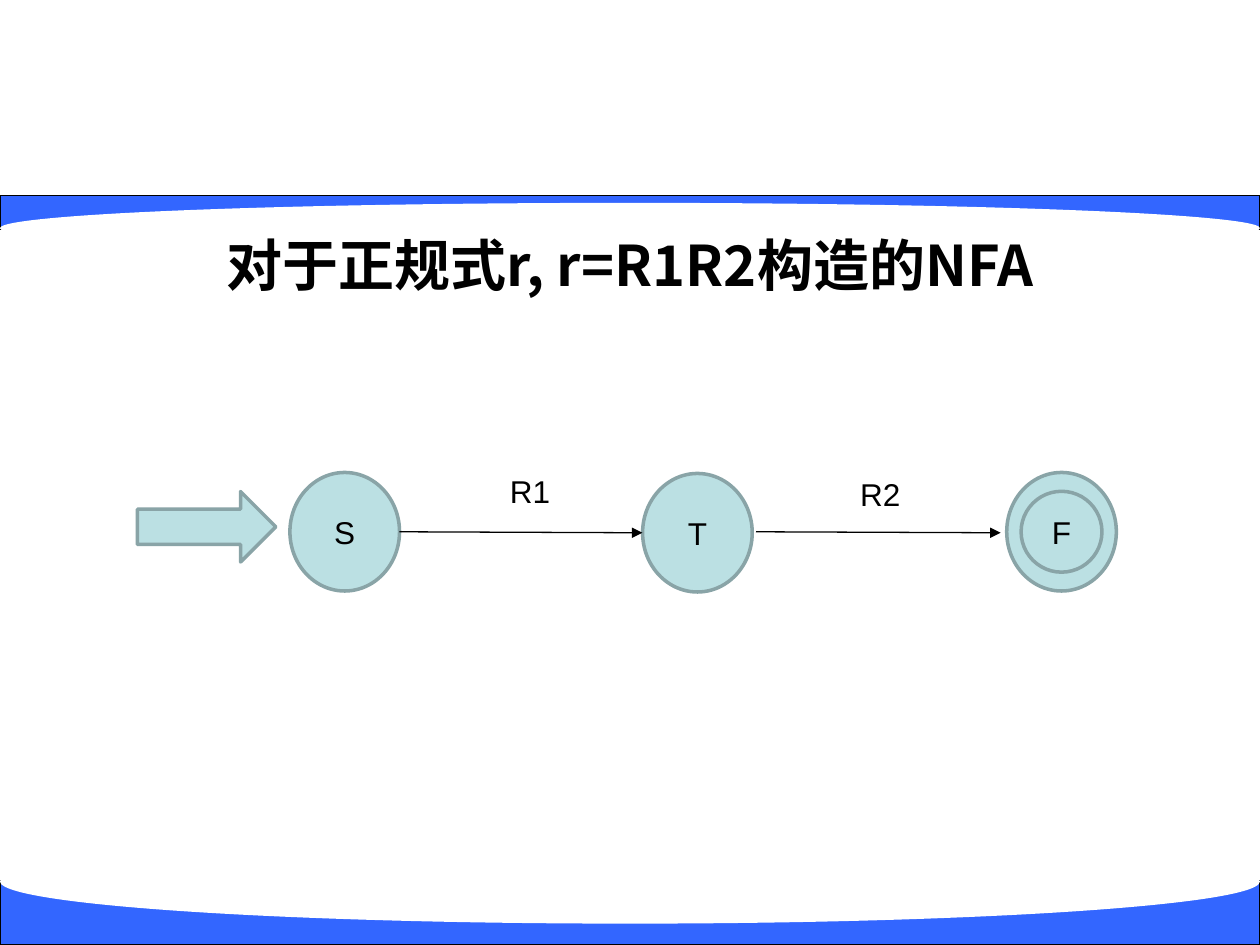
"""Build a slide showing the NFA for a concatenation of two regular expressions."""
import pptx
import pptx.dml.color
import pptx.enum.shapes
import pptx.enum.text
import pptx.oxml
import pptx.oxml.ns
import pptx.util
from lxml import etree

Cm, Pt = pptx.util.Cm, pptx.util.Pt
SHAPE = pptx.enum.shapes.MSO_SHAPE
ANCHOR = pptx.enum.text.MSO_ANCHOR
ALIGN = pptx.enum.text.PP_ALIGN
AUTO_SIZE = pptx.enum.text.MSO_AUTO_SIZE

COLOURS = {"band": "3366FF", "paper": "FFFFFF", "ink": "000000",
           "state": "BBE0E3", "edge": "89A4A7"}
WIDTH, HEIGHT = 25.4, 19.05
TITLE = "对于正规式r, r=R1R2构造的NFA"
TITLE_FONT, BODY_FONT = "Noto Sans CJK SC", "Arial"
BANDS = [
    {"top": 3.94, "height": 0.69, "curve_top": 4.09, "curve_height": 1.02},
    {"top": 17.75, "height": 1.3, "curve_top": 16.92, "curve_height": 1.7},
]
STATE_SIZE, ACCEPT_SIZE = (2.21, 2.39), (1.63, 1.63)
STATES = [
    ("S", 6.95, 10.72, STATE_SIZE),
    ("", 21.4, 10.72, STATE_SIZE),
    ("F", 21.4, 10.72, ACCEPT_SIZE),
    ("T", 14.06, 10.74, STATE_SIZE),
]
START_ARROW = (2.77, 9.91, 2.79, 1.42)
TRANSITIONS = [("R1", 10.03, 9.4, 8.05, 12.95), ("R2", 17.09, 9.45, 15.24, 20.17)]
TRANSITION_Y = (10.72, 10.74)


def colour(name):
    return pptx.dml.color.RGBColor.from_string(COLOURS[name])


def add_figure(page, kind, place, fill, line=None, line_width=0.75):
    shape = page.shapes.add_shape(kind, *map(Cm, place))
    shape.shadow.inherit = False
    shape.fill.solid()
    shape.fill.fore_color.rgb = colour(fill)
    if line:
        shape.line.color.rgb = colour(line)
        shape.line.width = Pt(line_width)
    else:
        shape.line.fill.background()
    return shape


def write(shape, text, size, font, align, bold=False):
    shape.text_frame.text = text
    para = shape.text_frame.paragraphs[0]
    para.alignment = align
    for span in para.runs:
        span.font.size = Pt(size)
        span.font.name = font
        span.font.bold = bold
        span.font.color.rgb = colour("ink")
        east_asian = pptx.oxml.parse_xml(
            f'<a:ea {pptx.oxml.ns.nsdecls("a")} typeface="{font}"/>')
        span.font.fill
        span.font._element.find(pptx.oxml.ns.qn("a:latin")).addnext(east_asian)


def add_bands(page):
    for band in BANDS:
        add_figure(page, SHAPE.RECTANGLE, (0, band["top"], WIDTH, band["height"]),
                   "band", "ink")
        add_figure(page, SHAPE.OVAL,
                   (0, band["curve_top"], WIDTH, band["curve_height"]), "paper")


def add_title(page):
    title = page.shapes.title
    title.left, title.top, title.width, title.height = map(Cm, (1.9, 3.38, 21.6, 2.74))
    title.text_frame.vertical_anchor = ANCHOR.BOTTOM
    title.text_frame.auto_size = AUTO_SIZE.NONE
    write(title, TITLE, 32, TITLE_FONT, ALIGN.CENTER, True)
    title.element.getparent().append(title.element)


def add_state(page, name, centre_x, centre_y, size):
    width, height = size
    place = (centre_x - width / 2, centre_y - height / 2, width, height)
    state = add_figure(page, SHAPE.OVAL, place, "state", "edge", 2)
    if name:
        state.text_frame.vertical_anchor = ANCHOR.MIDDLE
        write(state, name, 18, BODY_FONT, ALIGN.CENTER)


def add_transition(page, name, left, top, start_x, end_x):
    label = page.shapes.add_textbox(Cm(left), Cm(top), Cm(1.32), Cm(1.02))
    label.text_frame.word_wrap = False
    label.text_frame.auto_size = AUTO_SIZE.SHAPE_TO_FIT_TEXT
    write(label, name, 18, BODY_FONT, ALIGN.LEFT)
    start_y, end_y = TRANSITION_Y
    arrow = page.shapes.add_connector(pptx.enum.shapes.MSO_CONNECTOR.STRAIGHT,
                                      Cm(start_x), Cm(start_y), Cm(end_x), Cm(end_y))
    arrow.line.color.rgb = colour("ink")
    arrow.line.width = Pt(0.75)
    qn = pptx.oxml.ns.qn
    etree.SubElement(arrow.line._get_or_add_ln(), qn("a:tailEnd"), type="triangle")
    etree.SubElement(arrow.element.spPr, qn("a:effectLst"))


def main():
    deck = pptx.Presentation()
    deck.slide_width, deck.slide_height = Cm(WIDTH), Cm(HEIGHT)
    page = deck.slides.add_slide(deck.slide_layouts[5])
    add_bands(page)
    add_title(page)
    add_figure(page, SHAPE.RIGHT_ARROW, START_ARROW, "state", "edge", 2)
    for state in STATES:
        add_state(page, *state)
    for transition in TRANSITIONS:
        add_transition(page, *transition)
    deck.save("out.pptx")


if __name__ == "__main__":
    main()
